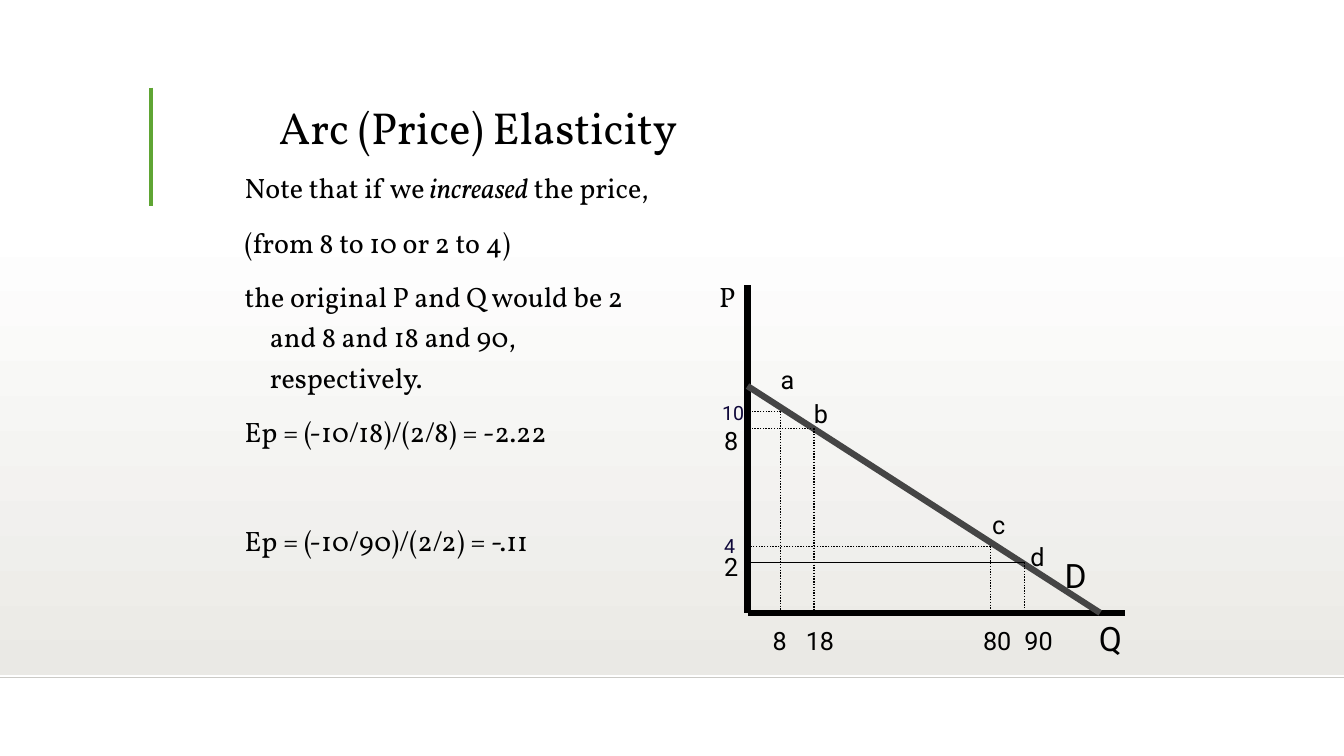
from pptx import Presentation
from pptx.dml.color import RGBColor
from pptx.enum.dml import MSO_LINE
from pptx.enum.shapes import MSO_CONNECTOR, MSO_SHAPE
from pptx.enum.text import MSO_ANCHOR
from pptx.oxml.ns import qn
from pptx.util import Inches, Pt

BLACK = RGBColor(0x00, 0x00, 0x00)
WHITE = RGBColor(0xFF, 0xFF, 0xFF)
WARM_GREY = RGBColor(0xEA, 0xE9, 0xE5)
RULE_GREY = RGBColor(0xCB, 0xCA, 0xC6)
GREEN = RGBColor(0x5F, 0xA5, 0x34)
DEMAND_GREY = RGBColor(0x45, 0x45, 0x45)
NAVY = RGBColor(0x0E, 0x07, 0x39)
SERIF = "Vollkorn"
SANS = "Roboto"


class SlideBuilder:
    def __init__(self, slide):
        self.shapes = slide.shapes

    def gradient_band(self, left, top, width, height, start, end):
        band = self.shapes.add_shape(MSO_SHAPE.RECTANGLE, Inches(left), Inches(top),
                                     Inches(width), Inches(height))
        band.shadow.inherit = False
        band.line.fill.background()
        band.fill.gradient()
        band.fill.gradient_angle = 270
        for stop, color in zip(band.fill.gradient_stops, (start, end)):
            stop.color.rgb = color

    def line(self, start, end, width, color=BLACK, dash=None):
        connector = self.shapes.add_connector(
            MSO_CONNECTOR.STRAIGHT, *(Inches(v) for v in (*start, *end)))
        connector.line.width = Pt(width)
        connector.line.color.rgb = color
        if dash is not None:
            connector.line.dash_style = dash
        properties = connector._element.spPr
        properties.append(properties.makeelement(qn("a:effectLst"), {}))

    def text_frame(self, left, top, width, height, wrap=True):
        frame = self.shapes.add_textbox(Inches(left), Inches(top),
                                        Inches(width), Inches(height)).text_frame
        frame.word_wrap = wrap
        return frame

    def run(self, paragraph, text, size, font=SERIF, color=BLACK, italic=False):
        run = paragraph.add_run()
        run.text = text
        run.font.size = Pt(size)
        run.font.name = font
        run.font.color.rgb = color
        run.font.italic = italic

    def title(self, text):
        frame = self.text_frame(2.67, 0.33, 8.5, 1.25)
        frame.vertical_anchor = MSO_ANCHOR.BOTTOM
        frame.paragraphs[0].line_spacing = 0.9
        self.run(frame.paragraphs[0], text, 32)

    def body(self, paragraphs):
        """Add hanging paragraphs, each given as (space before, runs)."""
        frame = self.text_frame(2.33, 1.58, 4.42, 5.08)
        for index, (space_before, runs) in enumerate(paragraphs):
            paragraph = frame.add_paragraph() if index else frame.paragraphs[0]
            properties = paragraph._p.get_or_add_pPr()
            properties.set("marL", str(Inches(0.25)))
            properties.set("indent", str(-Inches(0.25)))
            paragraph.line_spacing = 1.2
            paragraph.space_before = Pt(space_before)
            for text, italic in runs:
                self.run(paragraph, text, 20, italic=italic)

    def label(self, text, left, top, size=18, font=SANS, color=BLACK):
        width = 0.2 + len(text) * size / 128
        frame = self.text_frame(left, top, width, 0.1 + size / 60, wrap=False)
        self.run(frame.paragraphs[0], text, size, font, color)


def main():
    presentation = Presentation()
    presentation.slide_width = Inches(13.34)
    presentation.slide_height = Inches(7.5)
    builder = SlideBuilder(presentation.slides.add_slide(presentation.slide_layouts[6]))

    builder.gradient_band(0, 2.2, 13.34, 4.5, WHITE, WARM_GREY)
    builder.line((0, 6.72), (13.34, 6.72), 1, RULE_GREY)
    builder.line((1.5, 0.87), (1.5, 2.04), 3, GREEN)

    builder.title("Arc (Price) Elasticity")
    builder.body([
        (0, [("Note that if we", False), (" increased", True), (" the price,", False)]),
        (10, [("(from 8 to 10 or 2 to 4)", False)]),
        (10, [("the original P and Q would be 2 and 8 and 18 and 90, respectively.", False)]),
        (10, [("Ep = (-10/18)/(2/8) = -2.22", False)]),
        (49, [("Ep = (-10/90)/(2/2) = -.11", False)]),
    ])

    axis_x, axis_y = 7.42, 6.08
    builder.line((axis_x, 2.83), (axis_x, axis_y), 4.5)
    builder.line((axis_x, axis_y), (11.17, axis_y), 4.5)
    builder.line((axis_x, 3.83), (10.92, axis_y), 4.5, DEMAND_GREY)

    dotted = MSO_LINE.ROUND_DOT
    demand_points = [(7.75, 4.08, dotted), (8.08, 4.25, dotted),
                     (9.83, 5.42, dotted), (10.17, 5.58, None)]
    for x, y, price_dash in demand_points:
        builder.line((x, y), (x, axis_y), 1, dash=dotted)
        builder.line((x, y), (axis_x, y), 1, dash=price_dash)

    builder.label("P", 7.04, 2.72, 20, SERIF)
    builder.label("Q", 10.81, 6.08, 24)
    builder.label("D", 10.47, 5.46, 24)
    for price, top in (("2", 5.42), ("8", 4.17)):
        builder.label(price, 7.09, top)
    for price, left, top in (("4", 7.09, 5.25), ("10", 7.07, 3.93)):
        builder.label(price, left, top, 14, color=NAVY)
    for quantity, left in (("8", 7.57), ("18", 7.9), ("80", 9.66), ("90", 10.07)):
        builder.label(quantity, left, 6.15)
    for point, left, top in (("a", 7.65, 3.57), ("b", 7.98, 3.9),
                             ("c", 9.75, 5), ("d", 10.13, 5.32)):
        builder.label(point, left, top)

    presentation.save("out.pptx")


if __name__ == "__main__":
    main()
